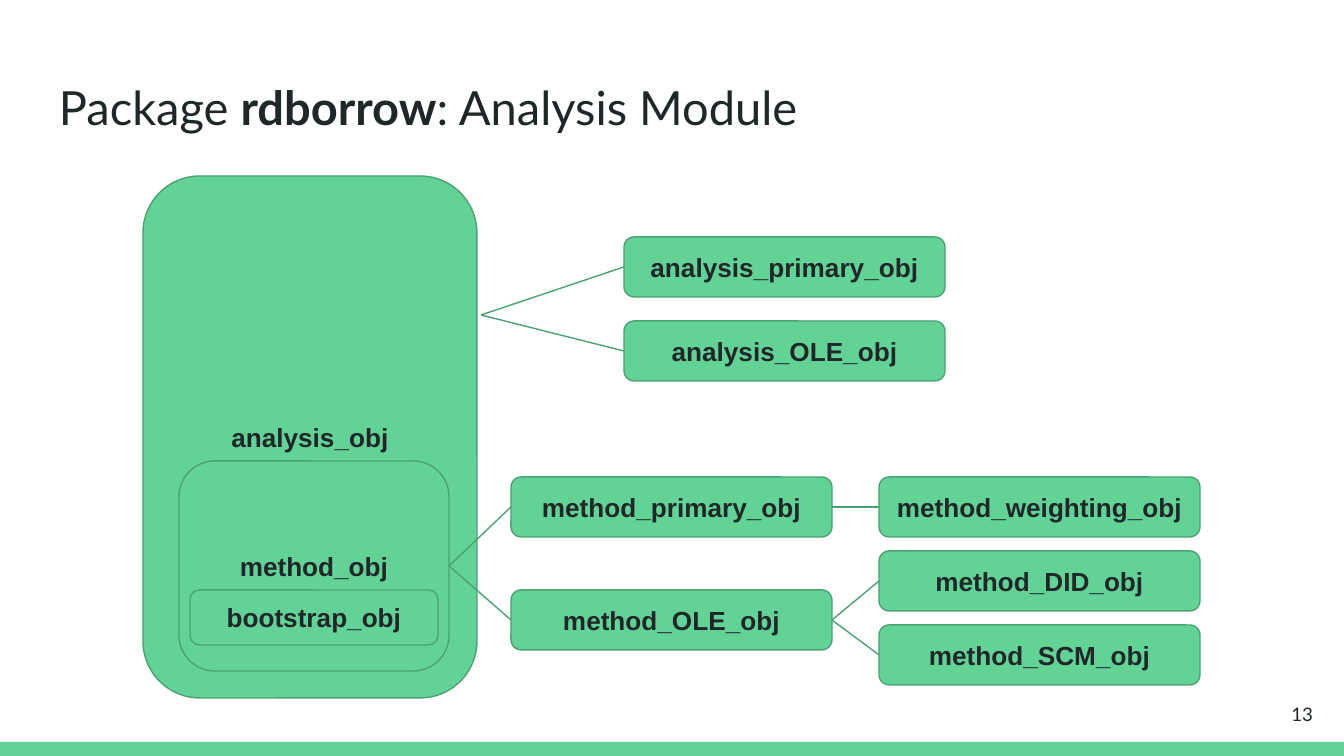
from lxml.etree import SubElement
from pptx import Presentation
from pptx.dml.color import RGBColor
from pptx.enum.shapes import MSO_CONNECTOR, MSO_SHAPE
from pptx.enum.text import MSO_ANCHOR, PP_ALIGN
from pptx.oxml.ns import qn
from pptx.util import Pt

PX = 914400 / 134.4
COLORS = {"green": "63D297", "outline": "4BA173", "ink": "202729"}
INSET = 13


def px(*lengths):
    """Turn pixel lengths into a list of EMU values."""
    return [round(length * PX) for length in lengths]


def write(frame, pieces, font, size, align, anchor):
    """Fill a text frame with one paragraph of (text, bold) pieces."""
    frame.word_wrap = True
    frame.vertical_anchor = anchor
    frame.margin_left, frame.margin_top, frame.margin_right, frame.margin_bottom = px(*[INSET] * 4)
    paragraph = frame.paragraphs[0]
    paragraph.alignment = align
    for text, bold in pieces:
        run = paragraph.add_run()
        run.text = text
        run.font.name = font
        run.font.size = Pt(size)
        run.font.bold = bold
        run.font.color.rgb = RGBColor.from_string(COLORS["ink"])


prs = Presentation()
prs.slide_width, prs.slide_height = px(1344, 756)
slide = prs.slides.add_slide(prs.slide_layouts[6])
shapes = slide.shapes

footer_band = shapes.add_shape(MSO_SHAPE.RECTANGLE, *px(0, 742, 1344, 14))
footer_band.shadow.inherit = False
footer_band.fill.solid()
footer_band.fill.fore_color.rgb = RGBColor.from_string(COLORS["green"])
footer_band.line.fill.background()

title = shapes.add_textbox(*px(46, 66, 1252, 84))
write(title.text_frame, [("Package ", False), ("rdborrow", True), (": Analysis Module", False)],
      "Lato", 25.2, PP_ALIGN.LEFT, MSO_ANCHOR.TOP)

# Nested objects first, then the columns of equally sized subclasses
CLASS_W, CLASS_H = 321, 60
boxes = {
    "analysis_obj": (143, 176, 334, 522),
    "method_obj": (179, 461, 270, 210),
    "bootstrap_obj": (190, 590, 248, 55),
}
columns = [
    (624, {"analysis_primary_obj": 237, "analysis_OLE_obj": 321}),
    (511, {"method_primary_obj": 477, "method_OLE_obj": 590}),
    (879, {"method_weighting_obj": 477, "method_DID_obj": 551, "method_SCM_obj": 625}),
]
for left, tops in columns:
    for name, top in tops.items():
        boxes[name] = (left, top, CLASS_W, CLASS_H)

for name, bounds in boxes.items():
    box = shapes.add_shape(MSO_SHAPE.ROUNDED_RECTANGLE, *px(*bounds))
    box.adjustments[0] = 0.17
    box.shadow.inherit = False
    box.fill.solid()
    box.fill.fore_color.rgb = RGBColor.from_string(COLORS["green"])
    box.line.color.rgb = RGBColor.from_string(COLORS["outline"])
    box.line.width = Pt(0.75)
    write(box.text_frame, [(name, True)], "Arial", 14, PP_ALIGN.CENTER, MSO_ANCHOR.MIDDLE)

# Each fork runs from one point to the left middle of its subclasses
forks = [
    ((481, 315), ["analysis_primary_obj", "analysis_OLE_obj"]),
    ((449, 566), ["method_primary_obj", "method_OLE_obj"]),
    ((832, 507), ["method_weighting_obj"]),
    ((832, 620), ["method_DID_obj", "method_SCM_obj"]),
]
for start, subclasses in forks:
    for name in subclasses:
        left, top, width, height = boxes[name]
        link = shapes.add_connector(MSO_CONNECTOR.STRAIGHT, *px(*start, left, top + height / 2))
        link.line.color.rgb = RGBColor.from_string(COLORS["outline"])
        link.line.width = Pt(0.75)
        SubElement(link._element.spPr, qn("a:effectLst"))

page_number = shapes.add_textbox(*px(1246, 685, 80, 58))
write(page_number.text_frame, [("13", False)], "Lato", 10, PP_ALIGN.RIGHT, MSO_ANCHOR.MIDDLE)

prs.save("out.pptx")
